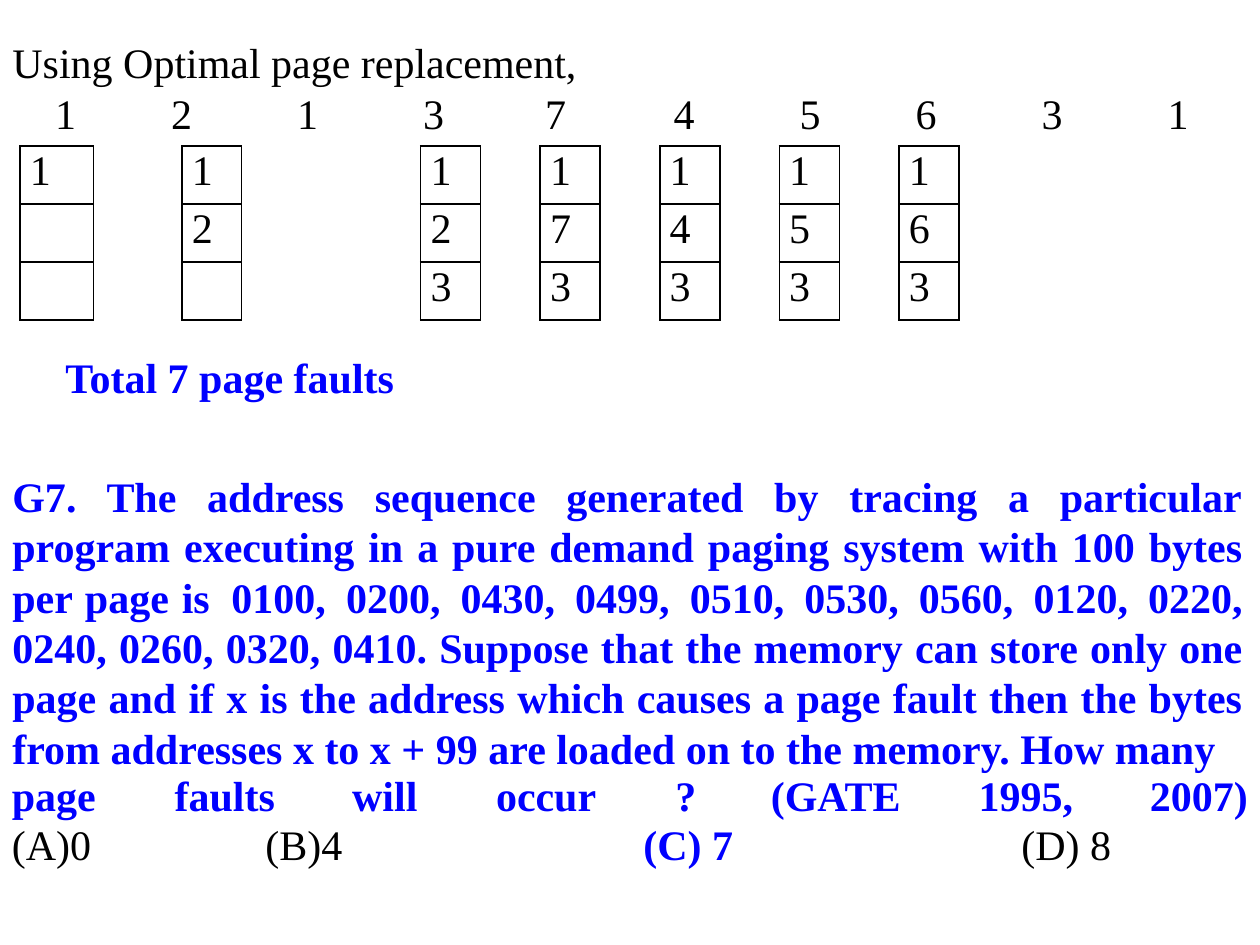
from lxml import etree
from pptx import Presentation
from pptx.dml.color import RGBColor
from pptx.enum import text
from pptx.oxml import ns
from pptx.util import Cm, Pt

BLACK = "000000"
BLUE = "0000FF"
REFERENCES = "1213745631"
FRAMES = ["1", "12", "123", "173", "143", "153", "163"]
REFERENCE_STOPS = [0.86, 3.2, 5.74, 8.28, 10.74, 13.33, 15.87, 18.21, 20.75, 23.29]
ADDRESSES = ["0100,", "0200,", "0430,", "0499,", "0510,", "0530,", "0560,", "0120,", "0220,"]
QUESTION_LINES = [
    "G7. The address sequence generated by tracing a particular",
    "program executing in a pure demand paging system with 100 bytes",
    "per page is\t" + "\t".join(ADDRESSES),
    "0240, 0260, 0320, 0410. Suppose that the memory can store only one",
    "page and if x is the address which causes a page fault then the bytes",
    "from addresses x to x + 99 are loaded on to the memory. How many",
]
CLOSING_WORDS = [("page", 0.08), ("faults", 0.79), ("will", 0.1), ("occur", 0.79),
                 ("?", 0), ("(GATE", 0.38), ("1995,", 0.79), ("2007)", 0.38)]
OPTIONS = {0: ("(A)0", 0.08), 1: ("(B)4", 2.62), 4: ("(C) 7", 0.48), 6: ("(D) 8", 1.65)}


def color(value):
    return RGBColor.from_string(value)


def style(paragraph, value=BLACK, bold=False):
    font = paragraph.font
    font.name = "Times New Roman"
    font.size = Pt(24)
    font.bold = bold
    font.color.rgb = color(value)


def add_tabs(paragraph, stops):
    properties = paragraph._p.get_or_add_pPr()
    tabs = etree.SubElement(properties, ns.qn("a:tabLst"))
    for stop in stops:
        etree.SubElement(tabs, ns.qn("a:tab"), pos=str(Cm(stop)), algn="l")


def add_text_box(slide, left, top, width, height):
    frame = slide.shapes.add_textbox(Cm(left), Cm(top), Cm(width), Cm(height)).text_frame
    frame.word_wrap = True
    frame.margin_left = frame.margin_right = frame.margin_bottom = 0
    frame.margin_top = Cm(0.03)
    return frame


def add_table(slide, left, top, widths, row_heights):
    shape = slide.shapes.add_table(len(row_heights), len(widths), Cm(left), Cm(top),
                                   Cm(sum(widths)), Cm(sum(row_heights)))
    table = shape.table
    table.first_row = table.horz_banding = False
    for column, width in zip(table.columns, widths):
        column.width = Cm(width)
    for row, height in zip(table.rows, row_heights):
        row.height = Cm(height)
    for cell in table.iter_cells():
        cell.fill.background()
        cell.margin_left = cell.margin_right = cell.margin_top = cell.margin_bottom = 0
        style(cell.text_frame.paragraphs[0])
    return table


def set_borders(cell, visible):
    properties = cell._tc.get_or_add_tcPr()
    for index, side in enumerate("LRTB"):
        line = etree.Element(ns.qn(f"a:ln{side}"), w=str(Pt(1)))
        if side in visible:
            fill = etree.SubElement(line, ns.qn("a:solidFill"))
            etree.SubElement(fill, ns.qn("a:srgbClr"), val=BLACK)
        else:
            etree.SubElement(line, ns.qn("a:noFill"))
        properties.insert(index, line)


def add_heading(slide, left, top, width, height):
    frame = add_text_box(slide, left, top, width, height)
    heading = frame.paragraphs[0]
    heading.text = "Using Optimal page replacement,"
    references = frame.add_paragraph()
    references.text = "\t" + "\t".join(REFERENCES)
    add_tabs(references, REFERENCE_STOPS)
    for paragraph in frame.paragraphs:
        style(paragraph)


def add_frames(slide, left, top):
    widths = [1.48, 1.79, 1.2, 3.61] + [1.21, 1.2] * 4 + [1.21]
    table = add_table(slide, left, top, widths, [1.17] * 3)
    for column in range(len(widths)):
        is_gap = column % 2 == 1
        for row in range(3):
            cell = table.cell(row, column)
            set_borders(cell, "LR" if is_gap else "LRTB")
            cell.margin_top = Cm(0.05)
            cell.margin_left = Cm(0.2)
            if not is_gap:
                cell.text = FRAMES[column // 2][row:row + 1]
                style(cell.text_frame.paragraphs[0])
        if is_gap:
            table.cell(0, column).merge(table.cell(2, column))


def add_question(slide, left, top, width, height):
    frame = add_text_box(slide, left, top, width, height)
    total = frame.paragraphs[0]
    total.text = "Total 7 page faults"
    total._p.get_or_add_pPr().set("marL", str(Cm(1.07)))
    question = frame.add_paragraph()
    question.text = "\n".join(QUESTION_LINES)
    question.alignment = text.PP_ALIGN.JUSTIFY
    question.space_before = Pt(39)
    add_tabs(question, [4.32 + 2.31 * index for index in range(len(ADDRESSES))])
    for paragraph in frame.paragraphs:
        style(paragraph, BLUE, True)


def fill_answer(cell, words, indent, spacing, emphasized):
    cell.text = words
    cell.margin_left = Cm(indent)
    paragraph = cell.text_frame.paragraphs[0]
    paragraph.line_spacing = Pt(spacing)
    if words == "?":
        paragraph.alignment = text.PP_ALIGN.CENTER
    style(paragraph, BLUE if emphasized else BLACK, emphasized)


def add_answers(slide, left, top):
    widths = [2.57, 4.27, 2.21, 3.28, 2.67, 3.78, 3.86, 2.46]
    table = add_table(slide, left, top, widths, [0.98] * 2)
    for cell in table.iter_cells():
        set_borders(cell, "")
    for column, (words, indent) in enumerate(CLOSING_WORDS):
        fill_answer(table.cell(0, column), words, indent, 26.2, True)
    for column, (words, indent) in OPTIONS.items():
        fill_answer(table.cell(1, column), words, indent, 26.7, words.startswith("(C)"))


def main():
    presentation = Presentation()
    presentation.slide_width = Cm(25.4)
    presentation.slide_height = Cm(19.05)
    slide = presentation.slides.add_slide(presentation.slide_layouts[6])
    add_frames(slide, 0.4, 2.94)
    add_heading(slide, 0.25, 0.71, 24.9, 2.11)
    add_question(slide, 0.25, 7.06, 24.8, 8.5)
    add_answers(slide, 0.16, 15.61)
    presentation.save("out.pptx")


if __name__ == "__main__":
    main()
